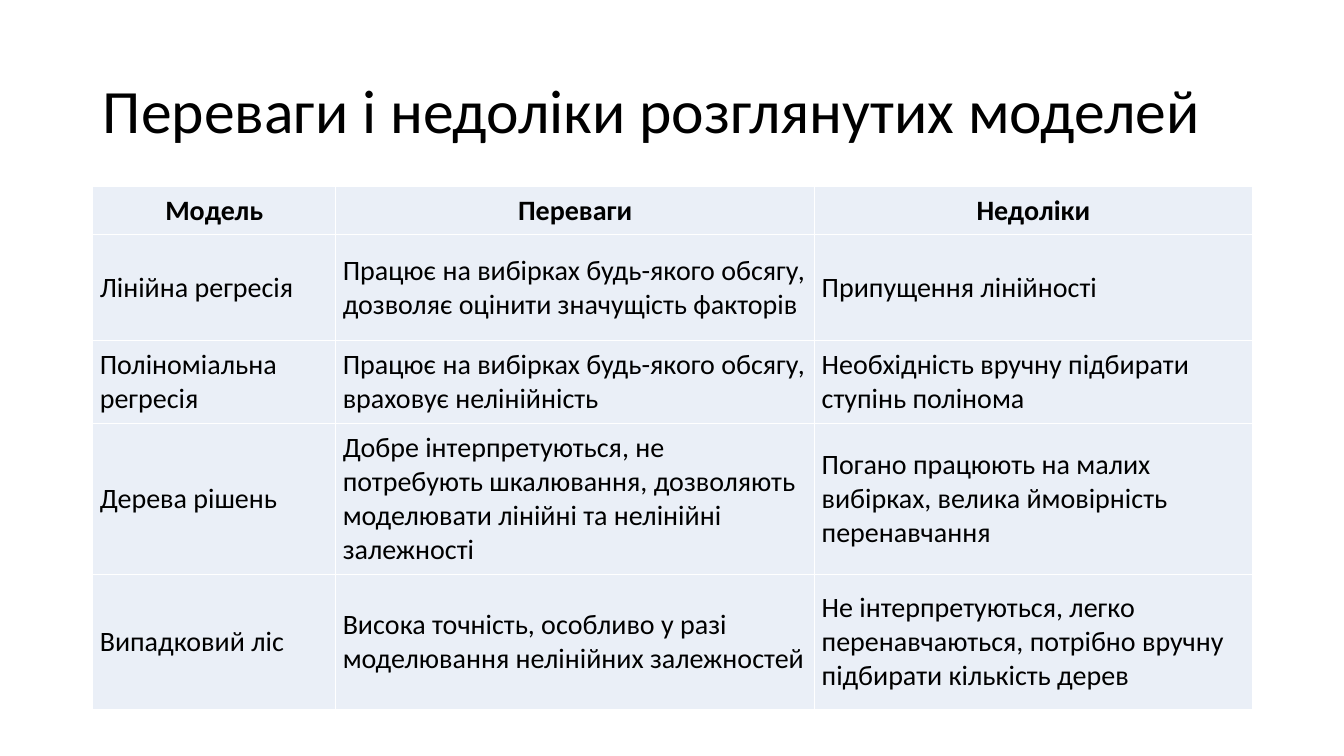
"""Build a slide that compares the strengths and weaknesses of four models."""
from lxml import etree
from pptx import Presentation
from pptx.dml.color import RGBColor
from pptx.enum.text import MSO_ANCHOR, MSO_AUTO_SIZE, PP_ALIGN
from pptx.oxml.ns import qn
from pptx.util import Inches, Pt

TITLE = "Переваги і недоліки розглянутих моделей"
MODELS = [
    ("Модель", "Переваги", "Недоліки"),
    ("Лінійна регресія",
     "Працює на вибірках будь-якого обсягу, дозволяє оцінити значущість факторів",
     "Припущення лінійності"),
    ("Поліноміальна регресія",
     "Працює на вибірках будь-якого обсягу, враховує нелінійність",
     "Необхідність вручну підбирати ступiнь полінома"),
    ("Дерева рішень",
     "Добре інтерпретуються, не потребують шкалювання, дозволяють моделювати "
     "лінійні та нелінійні залежності",
     "Погано працюють на малих вибірках, велика ймовірність перенавчання"),
    ("Випадковий ліс",
     "Висока точність, особливо у разі моделювання нелінійних залежностей",
     "Не інтерпретуються, легко перенавчаються, потрібно вручну підбирати "
     "кількість дерев"),
]
COLUMN_WIDTHS = (2.41, 4.75, 4.34)
ROW_HEIGHTS = (0.47, 1.05, 0.76, 1.34, 1.34)
LEFT, WIDTH = 0.92, 11.5
TITLE_TOP, TITLE_HEIGHT = 0.4, 1.45

FONT = "Calibri"
BLACK = RGBColor(0x00, 0x00, 0x00)
WHITE = RGBColor(0xFF, 0xFF, 0xFF)
PALE_BLUE = RGBColor(0xEA, 0xEF, 0xF7)
TOP, MIDDLE = MSO_ANCHOR.TOP, MSO_ANCHOR.MIDDLE
ALIGN_LEFT, ALIGN_CENTER = PP_ALIGN.LEFT, PP_ALIGN.CENTER
NO_AUTOFIT = MSO_AUTO_SIZE.NONE

CELL_FORMAT = {f"margin_{side}": Inches(0.07)
               for side in ("left", "right", "top", "bottom")}
TITLE_FORMAT = {"vertical_anchor": MIDDLE, "auto_size": NO_AUTOFIT,
                "word_wrap": True}


def apply(target, values):
    for name, value in values.items():
        setattr(target, name, value)


def write(frame, text, size, align, bold=False):
    frame.text = text
    paragraph = frame.paragraphs[0]
    paragraph.alignment = align
    apply(paragraph.runs[0].font, {"name": FONT, "size": Pt(size), "bold": bold})
    paragraph.runs[0].font.color.rgb = BLACK
    return paragraph


def add_borders(cell):
    properties = cell._tc.get_or_add_tcPr()
    for position, edge in enumerate(("lnL", "lnR", "lnT", "lnB")):
        border = etree.Element(qn(f"a:{edge}"), w=str(Pt(1)))
        fill = etree.SubElement(border, qn("a:solidFill"))
        etree.SubElement(fill, qn("a:srgbClr"), val=str(WHITE))
        properties.insert(position, border)


def add_title(slide):
    title = slide.shapes.title
    apply(title, {"left": Inches(LEFT), "top": Inches(TITLE_TOP),
                  "width": Inches(WIDTH), "height": Inches(TITLE_HEIGHT)})
    apply(title.text_frame, TITLE_FORMAT)
    write(title.text_frame, TITLE, 44, ALIGN_LEFT).line_spacing = 0.9


def add_comparison(slide):
    comparison = slide.shapes.add_table(
        len(MODELS), len(COLUMN_WIDTHS), Inches(LEFT),
        Inches(TITLE_TOP + TITLE_HEIGHT), Inches(WIDTH),
        Inches(sum(ROW_HEIGHTS))).table
    for column, width in zip(comparison.columns, COLUMN_WIDTHS):
        column.width = Inches(width)
    for row, height, texts in zip(comparison.rows, ROW_HEIGHTS, MODELS):
        row.height = Inches(height)
        header = texts is MODELS[0]
        for cell, text in zip(row.cells, texts):
            apply(cell, CELL_FORMAT)
            cell.vertical_anchor = TOP if header else MIDDLE
            cell.fill.solid()
            cell.fill.fore_color.rgb = PALE_BLUE
            write(cell.text_frame, text, 20,
                  ALIGN_CENTER if header else ALIGN_LEFT, header)
            add_borders(cell)


def main():
    deck = Presentation()
    deck.slide_width, deck.slide_height = Inches(13.33), Inches(7.5)
    slide = deck.slides.add_slide(deck.slide_layouts[5])
    add_title(slide)
    add_comparison(slide)
    deck.save("out.pptx")


if __name__ == "__main__":
    main()
